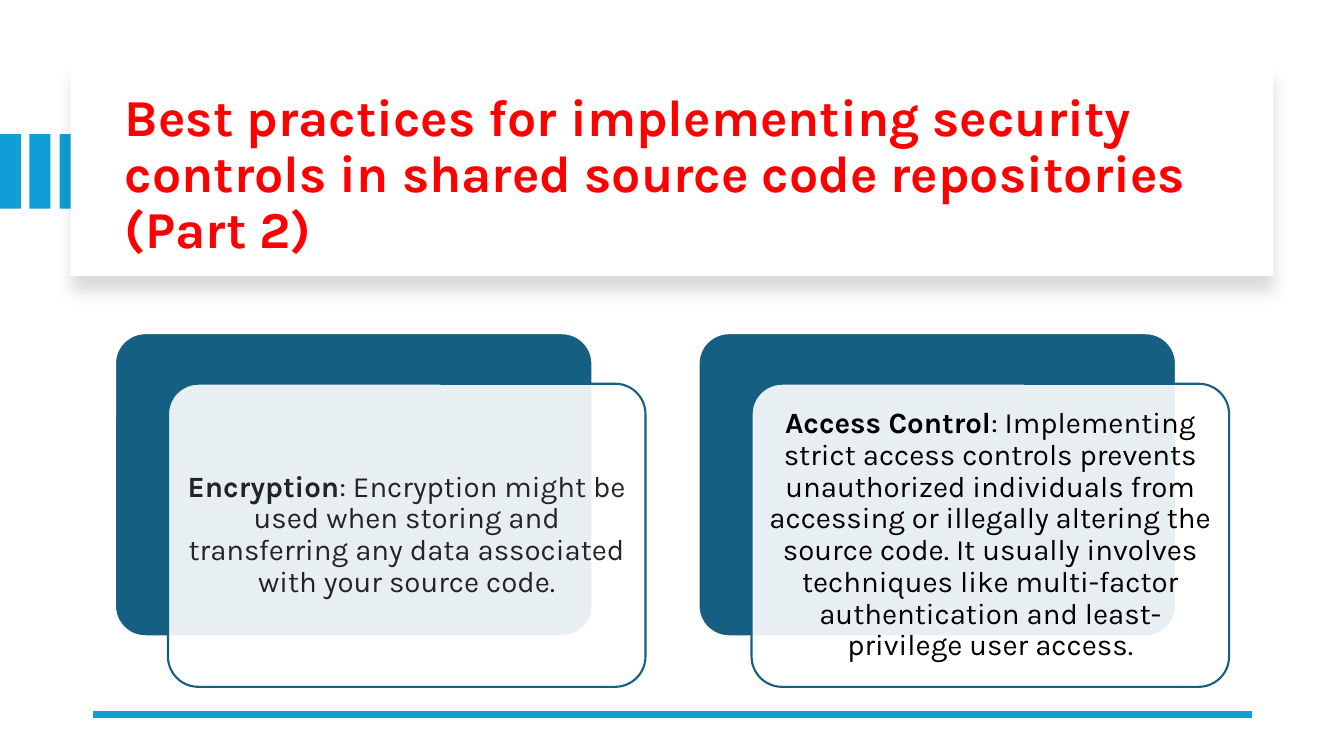
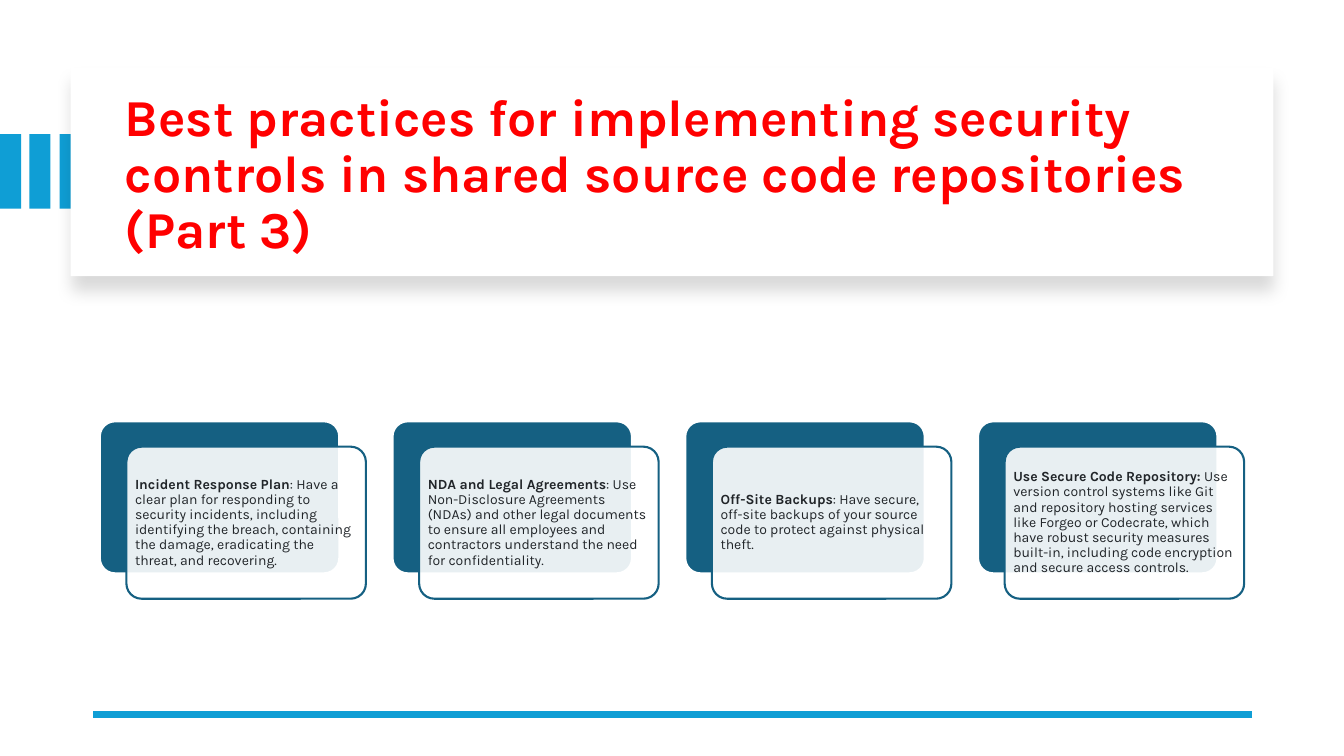
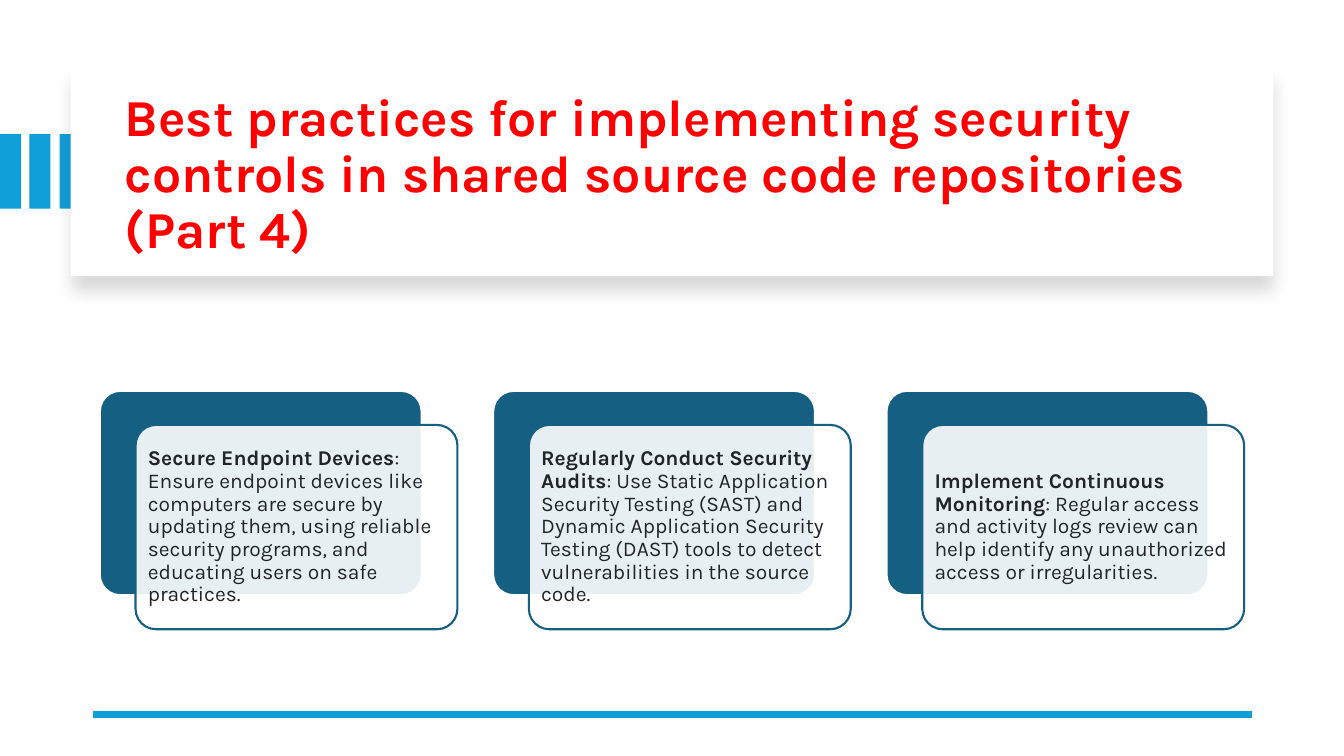
from dataclasses import dataclass

from lxml import etree
from pptx import Presentation
from pptx.dml.color import RGBColor
from pptx.enum import shapes, text
from pptx.oxml import ns
from pptx.util import Inches, Pt


@dataclass(frozen=True)
class Theme:
    font: str = "Karla"
    accent: str = "0F9ED5"
    card: str = "156082"
    white: str = "FFFFFF"
    title: str = "FF0000"
    body: str = "212529"
    black: str = "000000"
    title_size: int = 37
    outline: float = 1.5
    rule: float = 4.5


T = Theme()
TITLE = ("Best practices for implementing security controls "
         "in shared source code repositories")
ROW_CENTRE = 5.06
CARD_RATIO = 0.635  # height to width

# Each slide: title part, row left and right, type size, alignment, cards
SLIDES = [
    ("(Part 2)", 1.14, 12.19, 21, text.PP_ALIGN.CENTER, [
        ("Encryption",
         ": Encryption might be used when storing and transferring any data "
         "associated with your source code.", T.body),
        ("Access Control",
         ": Implementing strict access controls prevents unauthorized "
         "individuals from accessing or illegally altering the source code. "
         "It usually involves techniques like multi-factor authentication "
         "and least-privilege user access.", T.black),
    ]),
    ("(Part 3)", 0.99, 12.34, 10, text.PP_ALIGN.LEFT, [
        ("Incident Response Plan",
         ": Have a clear plan for responding to security incidents, including "
         "identifying the breach, containing the damage, eradicating the "
         "threat, and recovering.", T.body),
        ("NDA and Legal Agreements",
         ": Use Non-Disclosure Agreements (NDAs) and other legal documents to "
         "ensure all employees and contractors understand the need for "
         "confidentiality.", T.body),
        ("Off-Site Backups",
         ": Have secure, off-site backups of your source code to protect "
         "against physical theft.", T.body),
        ("Use Secure Code Repository: ",
         "Use version control systems like Git and repository hosting "
         "services like Forgeo or Codecrate, which have robust security "
         "measures built-in, including code encryption and secure access "
         "controls.", T.body),
    ]),
    ("(Part 4)", 0.99, 12.34, 15, text.PP_ALIGN.LEFT, [
        ("Secure Endpoint Devices",
         ": Ensure endpoint devices like computers are secure by updating "
         "them, using reliable security programs, and educating users on "
         "safe practices.", T.body),
        ("Regularly Conduct Security Audits",
         ": Use Static Application Security Testing (SAST) and Dynamic "
         "Application Security Testing (DAST) tools to detect "
         "vulnerabilities in the source code.", T.body),
        ("Implement Continuous Monitoring",
         ": Regular access and activity logs review can help identify any "
         "unauthorized access or irregularities.", T.body),
    ]),
]


def add_box(s, kind, left, top, width, height, fill, line=None):
    sp = s.shapes.add_shape(kind, Inches(left), Inches(top),
                            Inches(width), Inches(height))
    sp.shadow.inherit = False
    sp.fill.solid()
    sp.fill.fore_color.rgb = RGBColor.from_string(fill)
    if line:
        sp.adjustments[0] = 0.1
        sp.line.color.rgb = RGBColor.from_string(line)
        sp.line.width = Pt(T.outline)
    else:
        sp.line.fill.background()
    return sp


def write(sp, runs, size, color, align=text.PP_ALIGN.LEFT):
    tf = sp.text_frame
    tf.word_wrap = True
    tf.vertical_anchor = text.MSO_ANCHOR.MIDDLE
    p = tf.paragraphs[0]
    p.alignment = align
    p.line_spacing = 0.9
    p.font.name = T.font
    p.font.size = Pt(size)
    p.font.color.rgb = RGBColor.from_string(color)
    for words, bold in runs:
        r = p.add_run()
        r.text = words
        r.font.bold = bold
    return tf


prs = Presentation()
prs.slide_width, prs.slide_height = Inches(13.33), Inches(7.5)
RECT = shapes.MSO_SHAPE.RECTANGLE
ROUND = shapes.MSO_SHAPE.ROUNDED_RECTANGLE

for part, row_left, row_right, size, align, cards in SLIDES:
    s = prs.slides.add_slide(prs.slide_layouts[6])

    # Accent bars, partly behind the title panel
    for left in (0, 0.29, 0.59):
        add_box(s, RECT, left, 1.33, 0.21, 0.74, T.accent)

    # Title panel with a soft shadow below
    panel = add_box(s, RECT, 0.7, 0.67, 11.93, 2.07, T.white)
    effects = panel._element.spPr.find(ns.qn("a:effectLst"))
    shadow = etree.SubElement(
        effects, ns.qn("a:outerShdw"), blurRad=str(Pt(11)), dist=str(Pt(10)),
        dir="5400000", algn="t", rotWithShape="0")
    shade = etree.SubElement(shadow, ns.qn("a:srgbClr"), val=T.black)
    etree.SubElement(shade, ns.qn("a:alpha"), val="15000")

    # Title
    title = s.shapes.add_textbox(Inches(1.14), Inches(0.89),
                                 Inches(11.13), Inches(1.7))
    write(title, [(f"{TITLE} {part}", True)], T.title_size, T.title)

    # Footer rule
    rule = s.shapes.add_connector(shapes.MSO_CONNECTOR.STRAIGHT, Inches(12.42),
                                  Inches(7.09), Inches(0.92), Inches(7.09))
    rule.line.color.rgb = RGBColor.from_string(T.accent)
    rule.line.width = Pt(T.rule)
    etree.SubElement(rule._element.spPr, ns.qn("a:effectLst"))

    # Cards: the front is shifted by 1/9 width and 1/6 height, the gap is 1/9
    width = (row_right - row_left) * 9 / (11 * len(cards) - 1)
    height = width * CARD_RATIO
    top = ROW_CENTRE - height * 7 / 12
    for i, (lead, body, color) in enumerate(cards):
        left = row_left + i * width * 11 / 9
        add_box(s, ROUND, left, top, width, height, T.card, T.white)
        front = add_box(s, ROUND, left + width / 9, top + height / 6,
                        width, height, T.white, T.card)
        fill = front._element.spPr.find(ns.qn("a:solidFill"))
        etree.SubElement(fill[0], ns.qn("a:alpha"), val="90000")
        tf = write(front, [(lead, True), (body, False)], size, color, align)
        tf.margin_left = tf.margin_right = Inches(size / 240)
        tf.margin_top = tf.margin_bottom = Inches(size / 240)

prs.save("out.pptx")
